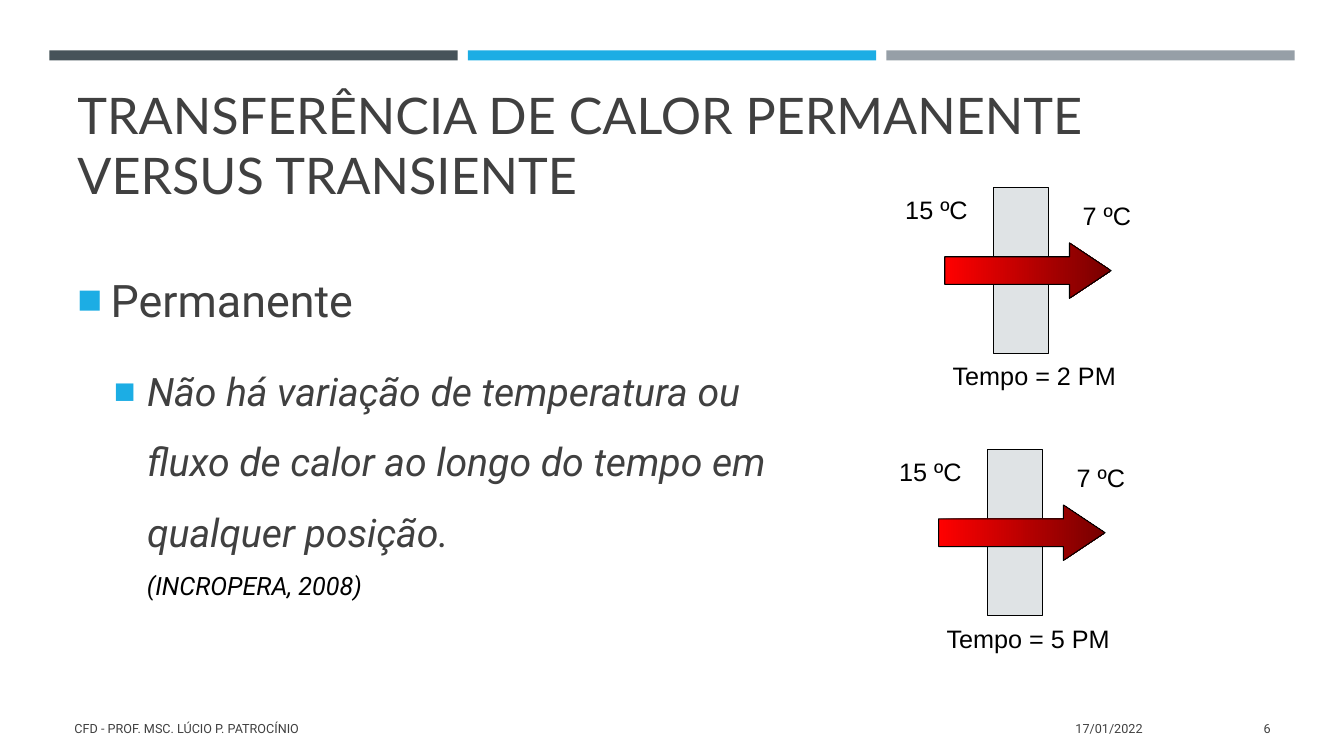
from lxml import etree
from pptx import Presentation
from pptx.dml.color import RGBColor
from pptx.enum.shapes import MSO_SHAPE
from pptx.enum.text import MSO_ANCHOR, PP_ALIGN
from pptx.oxml.ns import qn
from pptx.util import Inches, Pt

RECT, ARROW = MSO_SHAPE.RECTANGLE, MSO_SHAPE.RIGHT_ARROW
TOP, MIDDLE, BOTTOM = MSO_ANCHOR.TOP, MSO_ANCHOR.MIDDLE, MSO_ANCHOR.BOTTOM
LEFT, RIGHT = PP_ALIGN.LEFT, PP_ALIGN.RIGHT

# Content
TITLE = "TRANSFERÊNCIA DE CALOR PERMANENTE VERSUS TRANSIENTE"
TOPICS = [  # text, left indent, format
    ("Permanente", 0.33, {"size": Pt(32)}),
    ("Não há variação de temperatura ou fluxo de calor ao longo do tempo "
     "em qualquer posição.", 0.69, {"size": Pt(28), "italic": True}),
]
CITATION = "(INCROPERA, 2008)"
WALLS = ["Tempo = 2 PM", "Tempo = 5 PM"]
HOT, COLD = "15 ºC", "7 ºC"
FOOTERS = [  # text, left, width, alignment
    ("CFD - PROF. MSC. LÚCIO P. PATROCÍNIO", 0.64, 7.56, LEFT),
    ("17/01/2022", 8.32, 3.11, RIGHT),
    ("6", 11.55, 1.15, RIGHT),
]

COLORS = {"slate": "465359", "blue": "1CADE4", "grey": "969FA7",
          "wall": "DFE3E5", "text": "404040", "black": "000000",
          "hot": "FF0000", "cool": "760000"}

# Layout, in inches
SLIDE_W, SLIDE_H = 13.33, 7.5
MARGIN = 0.67
BAR_LEFT, BAR_TOP, BAR_W, BAR_H, BAR_GAP = 0.49, 0.5, 4.05, 0.1, 0.1
WALL_LEFT, WALL_TOP, WALL_W, WALL_H = 9.85, 1.86, 0.55, 1.65
WALL_STEP_X, WALL_STEP_Y = -0.06, 2.6
LABEL_H = 0.4

prs = Presentation()
prs.slide_width, prs.slide_height = Inches(SLIDE_W), Inches(SLIDE_H)
slide = prs.slides.add_slide(prs.slide_layouts[6])


def rgb(name):
    return RGBColor.from_string(COLORS[name])


def add_block(kind, left, top, width, height, fill=None, outlined=False):
    block = slide.shapes.add_shape(kind, *map(Inches, (left, top, width, height)))
    block.shadow.inherit = False
    if fill:
        block.fill.solid()
        block.fill.fore_color.rgb = rgb(fill)
    if outlined:
        block.line.color.rgb = rgb("black")
        block.line.width = Pt(0.75)
    else:
        block.line.fill.background()
    return block


def add_frame(left, top, width, height, anchor=TOP, wrap=True):
    frame = slide.shapes.add_textbox(
        *map(Inches, (left, top, width, height))).text_frame
    frame.word_wrap = wrap
    frame.vertical_anchor = anchor
    return frame


def write(paragraph, text, color="text", **formats):
    run = paragraph.add_run()
    run.text = text
    run.font.color.rgb = rgb(color)
    for name, value in {"name": "Roboto", **formats}.items():
        setattr(run.font, name, value)


def add_bullet(paragraph, indent):
    props = paragraph._p.get_or_add_pPr()
    props.set("marL", str(Inches(indent)))
    props.set("indent", str(Inches(-0.33)))
    color = etree.SubElement(props, qn("a:buClr"))
    etree.SubElement(color, qn("a:srgbClr"), val=COLORS["blue"])
    etree.SubElement(props, qn("a:buSzPct"), val="92000")
    etree.SubElement(props, qn("a:buFont"), typeface="Arial")
    etree.SubElement(props, qn("a:buChar"), char="■")


# Header bars
for column, fill in enumerate(("slate", "blue", "grey")):
    add_block(RECT, BAR_LEFT + column * (BAR_W + BAR_GAP), BAR_TOP,
              BAR_W, BAR_H, fill)

# Title
title = add_frame(MARGIN, 0.83, 12, 1.25, BOTTOM)
write(title.paragraphs[0], TITLE, name="Lato", size=Pt(36))

# Topics
body = add_frame(MARGIN, 2.05, 7.36, 4.65)
body.margin_top = Inches(0.39)
for row, (text, indent, formats) in enumerate(TOPICS):
    topic = body.add_paragraph() if row else body.paragraphs[0]
    add_bullet(topic, indent)
    topic.line_spacing = 1.5
    topic.space_before = Pt(6 if row else 0)
    topic.space_after = Pt(6)
    write(topic, text, **formats)

citation = add_frame(1.36, 5.61, 2.34, LABEL_H)
write(citation.paragraphs[0], CITATION, "black", size=Pt(18), italic=True)

# Walls crossed by the heat flow
for row, time in enumerate(WALLS):
    left = WALL_LEFT + row * WALL_STEP_X
    top = WALL_TOP + row * WALL_STEP_Y
    add_block(RECT, left, top, WALL_W, WALL_H, "wall", True)

    flow = add_block(ARROW, left - 0.48, top + WALL_H / 3, WALL_H, WALL_H / 3,
                     outlined=True)
    flow.adjustments[0], flow.adjustments[1] = 0.5, 0.75
    flow.fill.gradient()
    flow.fill.gradient_angle = 0
    for stop, name in zip(flow.fill.gradient_stops, ("hot", "cool")):
        stop.color.rgb = rgb(name)

    for text, dx, dy, width in ((HOT, -0.97, 0.02, 0.82),
                                (COLD, 0.79, 0.08, 0.68),
                                (time, -0.5, 1.67, 1.85)):
        label = add_frame(left + dx, top + dy, width, LABEL_H, wrap=False)
        write(label.paragraphs[0], text, "black", name="Arial", size=Pt(18))

# Footer
for text, left, width, alignment in FOOTERS:
    footer = add_frame(left, 7.03, width, LABEL_H, MIDDLE)
    footer.paragraphs[0].alignment = alignment
    write(footer.paragraphs[0], text, size=Pt(9))

prs.save("out.pptx")
